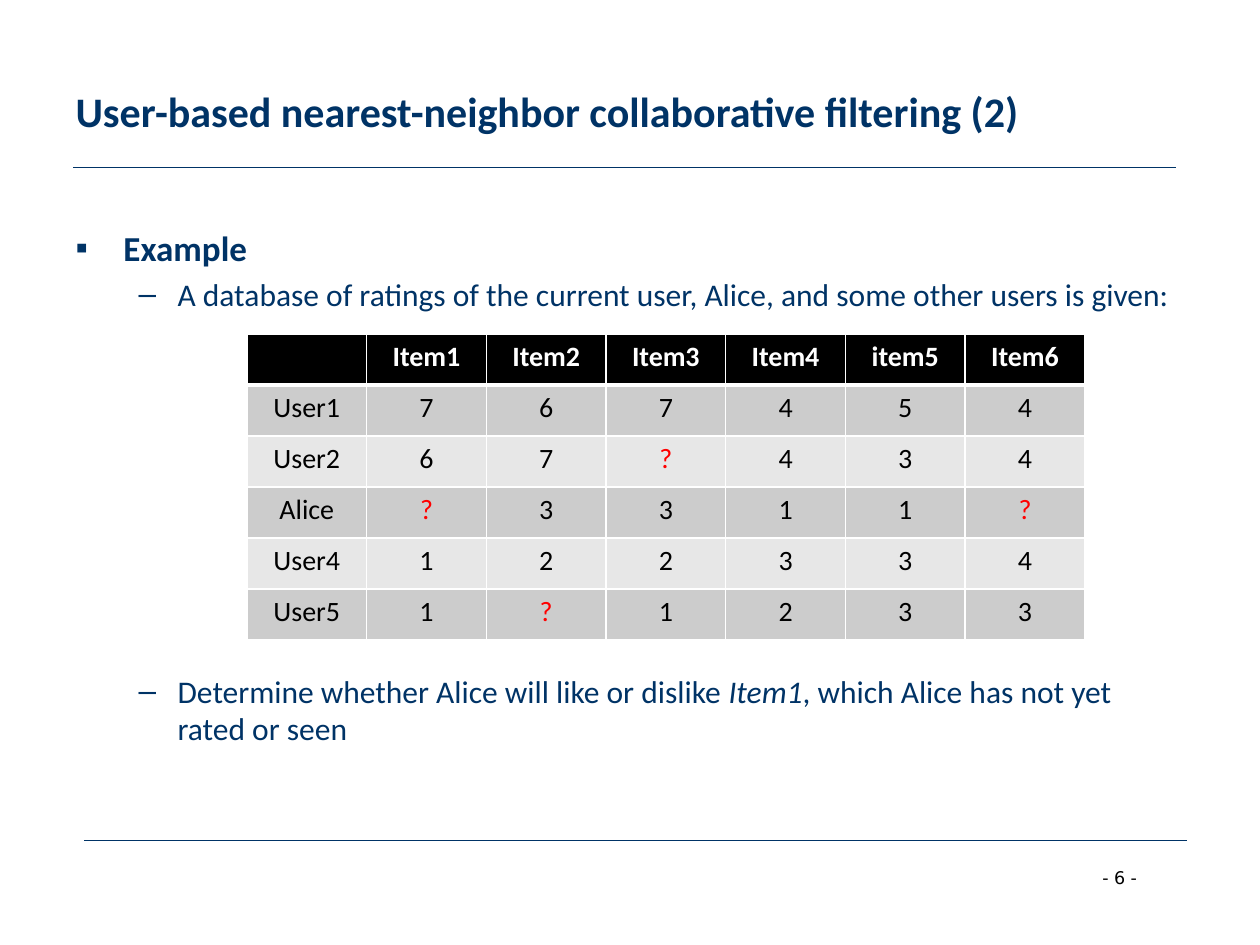
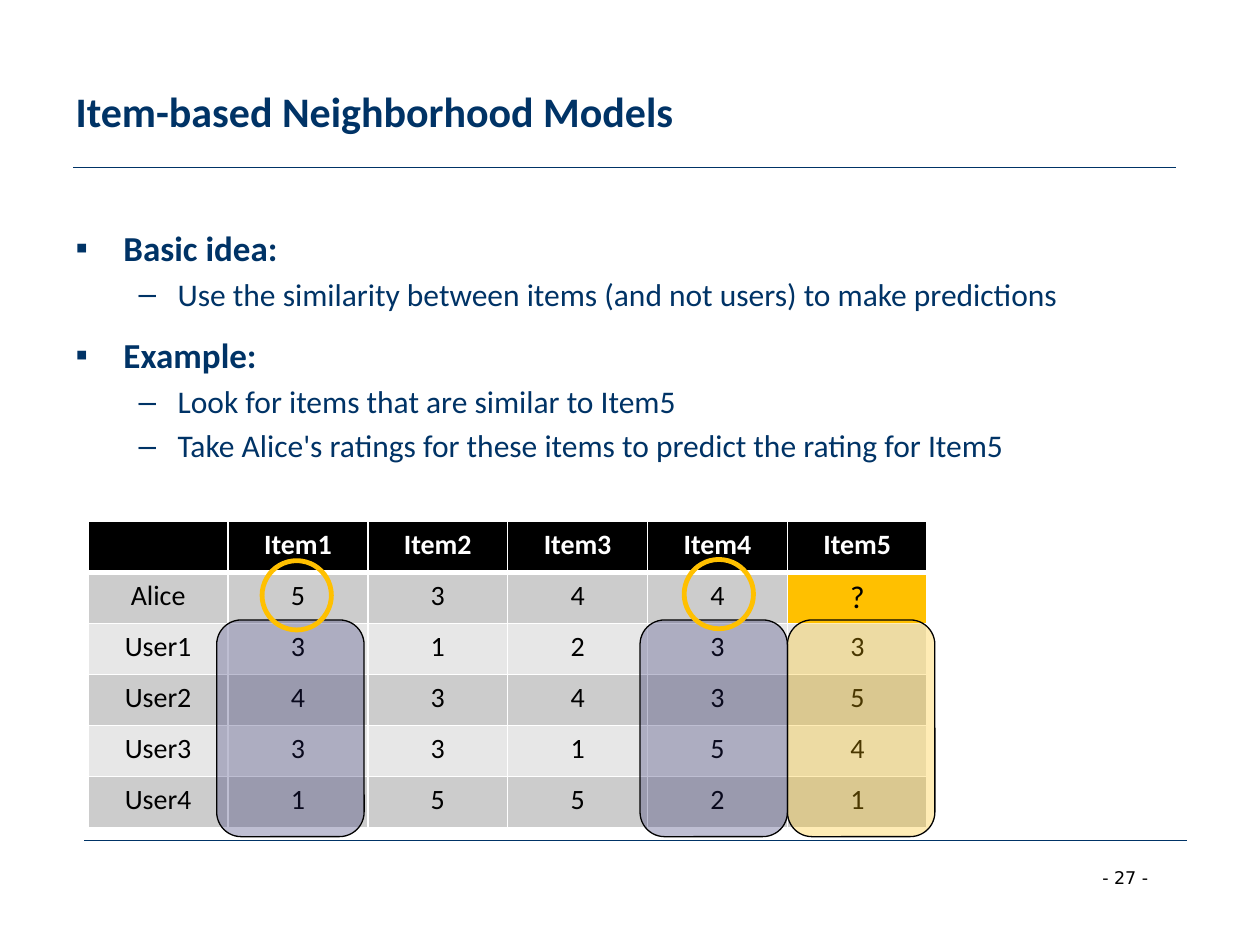
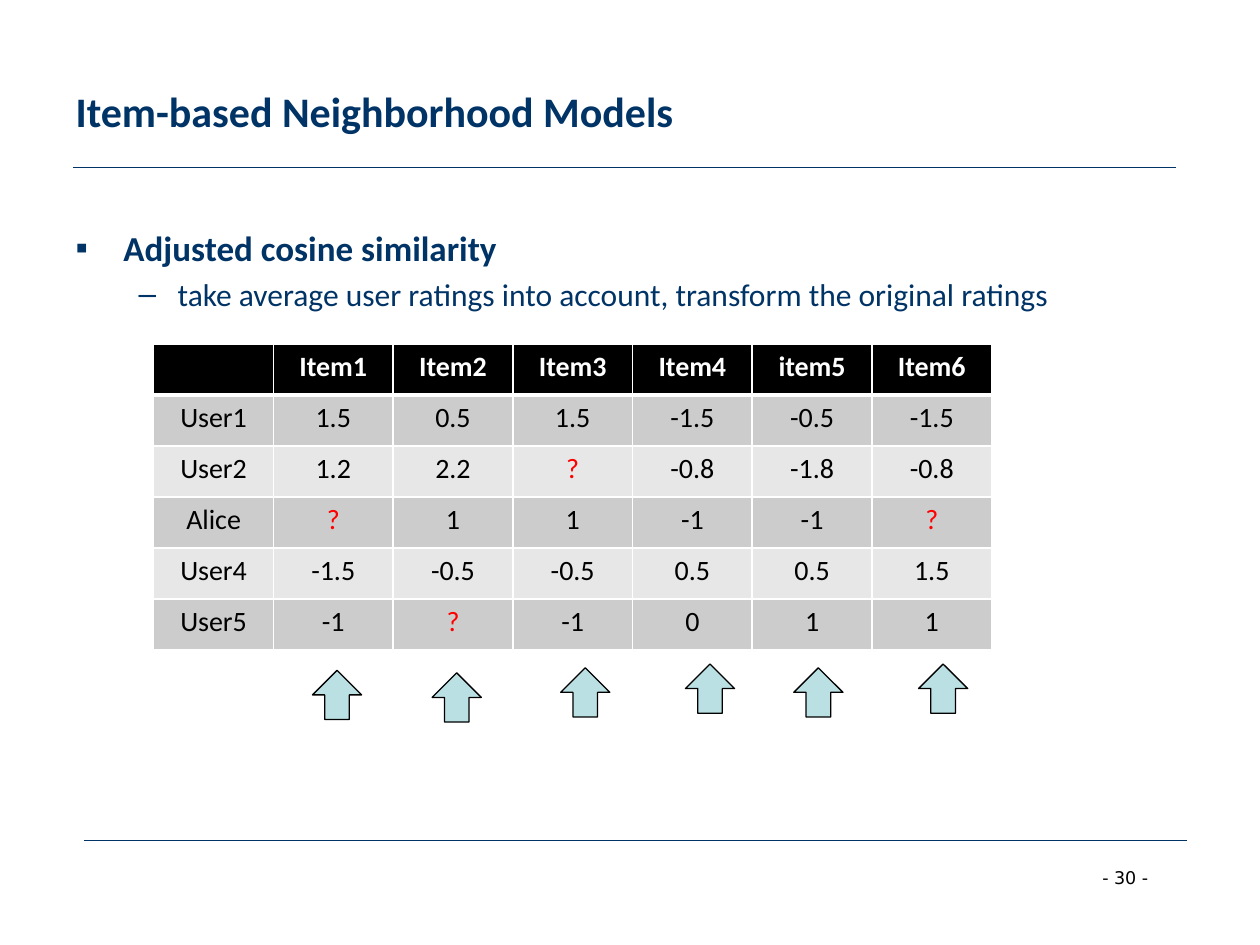
from dataclasses import dataclass

from lxml.etree import SubElement
from pptx import Presentation
from pptx.dml.color import RGBColor
from pptx.enum.shapes import MSO_CONNECTOR, MSO_SHAPE
from pptx.enum.text import MSO_ANCHOR, MSO_AUTO_SIZE, PP_ALIGN
from pptx.oxml.ns import qn
from pptx.util import Inches, Pt


@dataclass(frozen=True)
class Theme:
    font: str = "Calibri"
    footer_font: str = "DejaVu Sans"
    bullet_font: str = "Arial"
    navy: str = "003366"
    black: str = "000000"
    white: str = "FFFFFF"
    red: str = "FF0000"
    amber: str = "FFC000"
    indigo: str = "222267"
    pale_blue: str = "BBE0E3"
    bands: tuple[str, str] = ("CCCCCC", "E7E7E7")
    title_size: float = 24
    heading_size: float = 20
    point_size: float = 18
    cell_size: float = 16
    footer_size: float = 10
    thin: float = 0.75


THEME = Theme()


@dataclass(frozen=True)
class Span:
    text: str
    italic: bool = False


@dataclass(frozen=True)
class Level:
    bullet: str
    margin: float
    indent: float
    size: float
    bold: bool


LEVELS = (
    Level("▪", 0.38, -0.38, THEME.heading_size, True),
    Level("–", 0.81, -0.31, THEME.point_size, False),
)


@dataclass(frozen=True)
class Point:
    level: int
    spans: tuple[Span, ...]
    space_before: float | None = None


@dataclass(frozen=True)
class UnknownStyle:
    """Look of the cells whose rating is a question mark."""
    color: str
    size: float
    fill: str | None = None


@dataclass(frozen=True)
class Ratings:
    left: float
    top: float
    column_width: float
    rows: tuple[str, ...]
    unknown: UnknownStyle


@dataclass(frozen=True)
class Marker:
    kind: MSO_SHAPE
    left: float
    top: float
    width: float
    height: float
    fill: str | None = None
    opacity: int = 100
    line: str = THEME.black
    line_width: float = THEME.thin


@dataclass(frozen=True)
class Page:
    number: int
    title: str
    points: tuple[Point, ...]
    ratings: Ratings
    markers: tuple[Marker, ...] = ()


def heading(text: str) -> Point:
    return Point(0, (Span(text),), 12)


def detail(*spans: Span, space_before: float | None = None) -> Point:
    return Point(1, spans, space_before)


def add_span(para, text: str, *, size: float, color: str = THEME.navy, font: str = THEME.font,
             bold: bool = False, italic: bool = False) -> None:
    span = para.add_run()
    span.text = text
    span.font.name = font
    span.font.size = Pt(size)
    span.font.bold = bold
    span.font.italic = italic
    span.font.color.rgb = RGBColor.from_string(color)


def place(shape, left: float, top: float, width: float, height: float) -> None:
    shape.left, shape.top = Inches(left), Inches(top)
    shape.width, shape.height = Inches(width), Inches(height)


def add_title(slide, text: str) -> None:
    box = slide.shapes.title
    place(box, 0.5, 0.25, 9, 1.25)
    box.text_frame.auto_size = MSO_AUTO_SIZE.NONE
    box.text_frame.vertical_anchor = MSO_ANCHOR.MIDDLE
    para = box.text_frame.paragraphs[0]
    para.alignment = PP_ALIGN.LEFT
    add_span(para, text, size=THEME.title_size, bold=True)


def set_bullet(para, level: Level) -> None:
    properties = para._p.get_or_add_pPr()
    properties.set("marL", str(Inches(level.margin)))
    properties.set("indent", str(Inches(level.indent)))
    SubElement(properties, qn("a:buFont"), typeface=THEME.bullet_font)
    SubElement(properties, qn("a:buChar"), char=level.bullet)


def add_points(slide, points: tuple[Point, ...]) -> None:
    box = slide.placeholders[1]
    place(box, 0.5, 1.75, 9, 4.95)
    frame = box.text_frame
    frame.auto_size = MSO_AUTO_SIZE.NONE
    for index, point in enumerate(points):
        para = frame.add_paragraph() if index else frame.paragraphs[0]
        level = LEVELS[point.level]
        para.level = point.level
        if point.space_before is not None:
            para.space_before = Pt(point.space_before)
        set_bullet(para, level)
        for span in point.spans:
            add_span(para, span.text, size=level.size, bold=level.bold, italic=span.italic)


def add_rule(slide, left: float, top: float) -> None:
    rule = slide.shapes.add_connector(MSO_CONNECTOR.STRAIGHT, Inches(left), Inches(top),
                                      Inches(left + 8.75), Inches(top))
    rule.line.color.rgb = RGBColor.from_string(THEME.navy)
    rule.line.width = Pt(THEME.thin)
    SubElement(rule._element.spPr, qn("a:effectLst"))


def add_frame(slide, number: int) -> None:
    """Draw the rules and the page number that every slide has."""
    add_rule(slide, 0.58, 1.33)
    add_rule(slide, 0.67, 6.67)
    box = slide.shapes.add_textbox(Inches(8.65), Inches(6.83), Inches(0.76), Inches(0.27))
    box.text_frame.word_wrap = False
    add_span(box.text_frame.paragraphs[0], f"- {number} -", size=THEME.footer_size,
             color=THEME.black, font=THEME.footer_font)


def set_borders(cell, *, top: float, bottom: float) -> None:
    properties = cell._tc.get_or_add_tcPr()
    for side, width in (("lnL", 1), ("lnR", 1), ("lnT", top), ("lnB", bottom)):
        line = SubElement(properties, qn(f"a:{side}"), w=str(Pt(width)))
        SubElement(SubElement(line, qn("a:solidFill")), qn("a:srgbClr"), val=THEME.white)


def add_ratings(slide, ratings: Ratings) -> None:
    rows = [row.split() for row in ratings.rows]
    rows[0].insert(0, "")
    columns = len(rows[0])
    row_height = Inches(2.43 / len(rows))
    table = slide.shapes.add_table(
        len(rows), columns, Inches(ratings.left), Inches(ratings.top),
        Inches(ratings.column_width * columns), row_height * len(rows)).table
    for column in table.columns:
        column.width = Inches(ratings.column_width)
    for row_index, row in enumerate(rows):
        table.rows[row_index].height = row_height
        header = row_index == 0
        for column_index, text in enumerate(row):
            cell = table.cell(row_index, column_index)
            color = THEME.white if header else THEME.black
            fill = THEME.black if header else THEME.bands[(row_index - 1) % 2]
            size = THEME.cell_size
            if text == "?":
                color, size = ratings.unknown.color, ratings.unknown.size
                fill = ratings.unknown.fill or fill
            set_borders(cell, top=3 if row_index == 1 else 1, bottom=3 if header else 1)
            cell.fill.solid()
            cell.fill.fore_color.rgb = RGBColor.from_string(fill)
            if text:
                para = cell.text_frame.paragraphs[0]
                para.alignment = PP_ALIGN.CENTER
                add_span(para, text, size=size, color=color, bold=header)


def add_marker(slide, marker: Marker) -> None:
    shape = slide.shapes.add_shape(marker.kind, Inches(marker.left), Inches(marker.top),
                                   Inches(marker.width), Inches(marker.height))
    shape.shadow.inherit = False
    shape.line.color.rgb = RGBColor.from_string(marker.line)
    shape.line.width = Pt(marker.line_width)
    if marker.fill is None:
        shape.fill.background()
        return
    shape.fill.solid()
    shape.fill.fore_color.rgb = RGBColor.from_string(marker.fill)
    if marker.opacity < 100:
        color = shape._element.spPr.find(qn("a:solidFill")).find(qn("a:srgbClr"))
        SubElement(color, qn("a:alpha"), val=str(marker.opacity * 1000))


def column_band(left: float, fill: str) -> Marker:
    return Marker(MSO_SHAPE.ROUNDED_RECTANGLE, left, 4.92, 1.17, 1.72, fill, opacity=29)


def rating_ring(left: float, top: float) -> Marker:
    return Marker(MSO_SHAPE.OVAL, left, top, 0.55, 0.55, line=THEME.amber, line_width=2.75)


def column_arrow(left: float, top: float) -> Marker:
    return Marker(MSO_SHAPE.UP_ARROW, left, top, 0.39, 0.39, THEME.pale_blue)


RED_UNKNOWN = UnknownStyle(THEME.red, THEME.cell_size)
AMBER_UNKNOWN = UnknownStyle(THEME.black, THEME.point_size, THEME.amber)
ARROW_SPOTS = ((2.48, 5.32), (3.43, 5.34), (4.45, 5.3), (5.44, 5.27), (6.3, 5.3), (7.29, 5.27))

PAGES = (
    Page(
        6, "User-based nearest-neighbor collaborative filtering (2)",
        (
            heading("Example"),
            detail(Span("A database of ratings of the current user, Alice, "
                        "and some other users is given:")),
            detail(Span("Determine whether Alice will like or dislike "),
                   Span("Item1", italic=True),
                   Span(", which Alice has not yet rated or seen"), space_before=205),
        ),
        Ratings(1.96, 2.65, 0.95, (
            "Item1 Item2 Item3 Item4 item5 Item6",
            "User1 7 6 7 4 5 4",
            "User2 6 7 ? 4 3 4",
            "Alice ? 3 3 1 1 ?",
            "User4 1 2 2 3 3 4",
            "User5 1 ? 1 2 3 3",
        ), RED_UNKNOWN),
    ),
    Page(
        27, "Item-based Neighborhood Models",
        (
            heading("Basic idea:"),
            detail(Span("Use the similarity between items (and not users) to make predictions")),
            heading("Example:"),
            detail(Span("Look for items that are similar to Item5")),
            detail(Span("Take Alice's ratings for these items to predict the rating for Item5")),
        ),
        Ratings(0.7, 4.14, 1.11, (
            "Item1 Item2 Item3 Item4 Item5",
            "Alice 5 3 4 4 ?",
            "User1 3 1 2 3 3",
            "User2 4 3 4 3 5",
            "User3 3 3 1 5 4",
            "User4 1 5 5 2 1",
        ), AMBER_UNKNOWN),
        (
            column_band(6.25, THEME.amber),
            column_band(1.72, THEME.indigo),
            column_band(5.08, THEME.indigo),
            rating_ring(2.08, 4.45),
            rating_ring(5.43, 4.44),
        ),
    ),
    Page(
        30, "Item-based Neighborhood Models",
        (
            heading("Adjusted cosine similarity"),
            detail(Span("take average user ratings into account, transform the original ratings")),
        ),
        Ratings(1.22, 2.73, 0.95, (
            "Item1 Item2 Item3 Item4 item5 Item6",
            "User1 1.5 0.5 1.5 -1.5 -0.5 -1.5",
            "User2 1.2 2.2 ? -0.8 -1.8 -0.8",
            "Alice ? 1 1 -1 -1 ?",
            "User4 -1.5 -0.5 -0.5 0.5 0.5 1.5",
            "User5 -1 ? -1 0 1 1",
        ), RED_UNKNOWN),
        tuple(column_arrow(left, top) for left, top in ARROW_SPOTS),
    ),
)


def add_page(deck, page: Page) -> None:
    slide = deck.slides.add_slide(deck.slide_layouts[1])
    add_frame(slide, page.number)
    add_title(slide, page.title)
    add_points(slide, page.points)
    add_ratings(slide, page.ratings)
    for marker in page.markers:
        add_marker(slide, marker)


def main() -> None:
    deck = Presentation()
    deck.slide_width, deck.slide_height = Inches(10), Inches(7.5)
    for page in PAGES:
        add_page(deck, page)
    deck.save("out.pptx")


if __name__ == "__main__":
    main()
